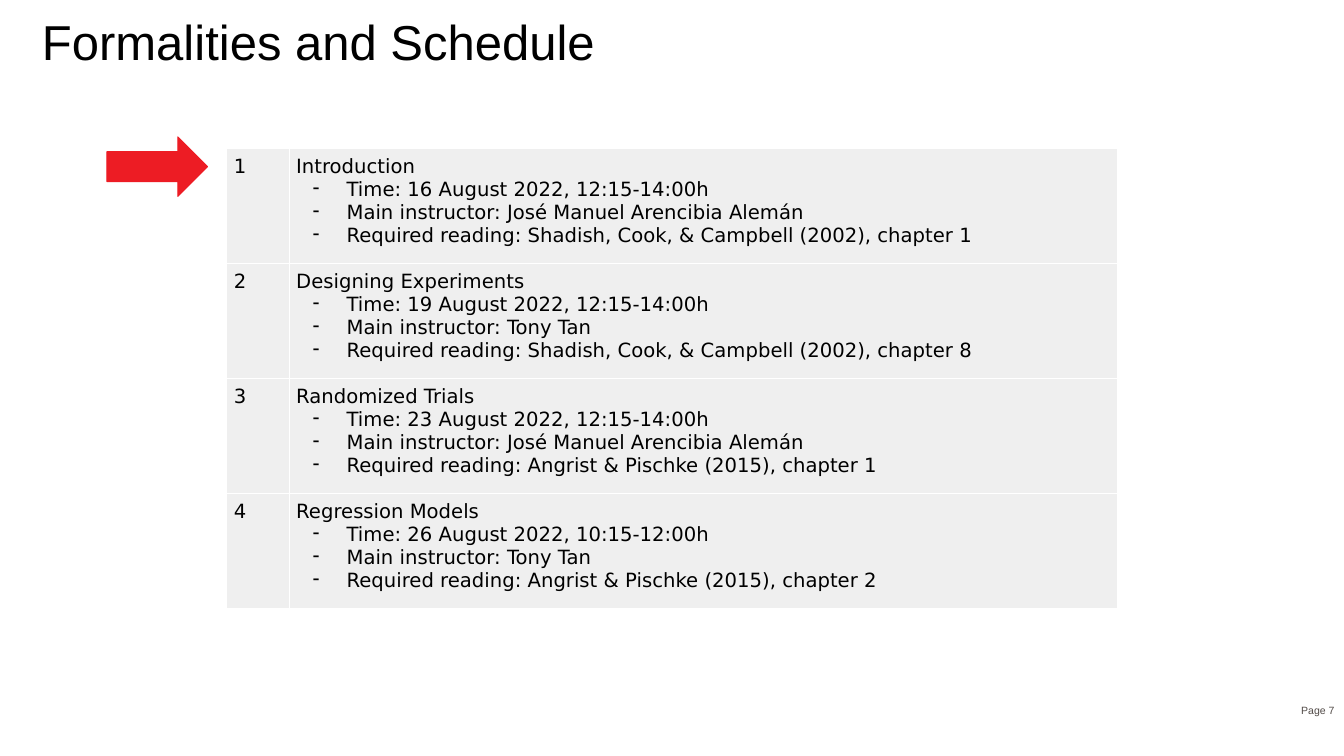
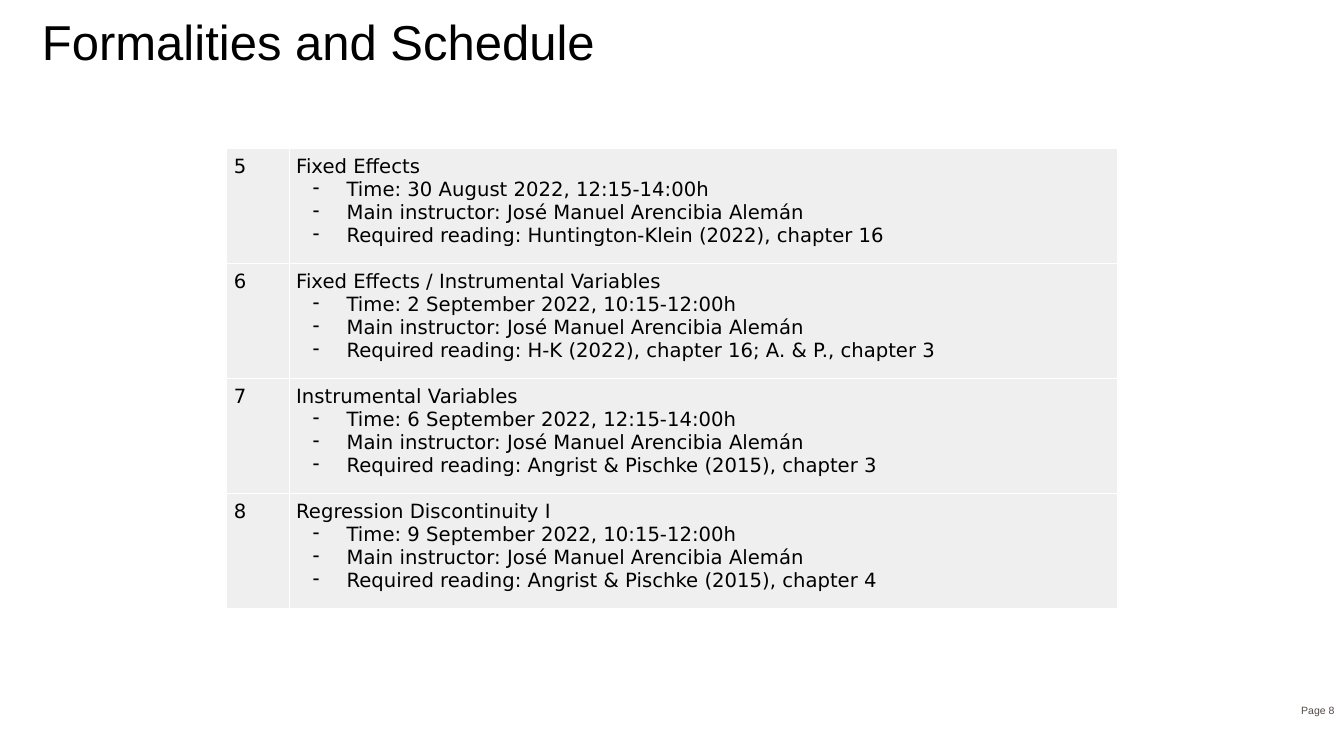
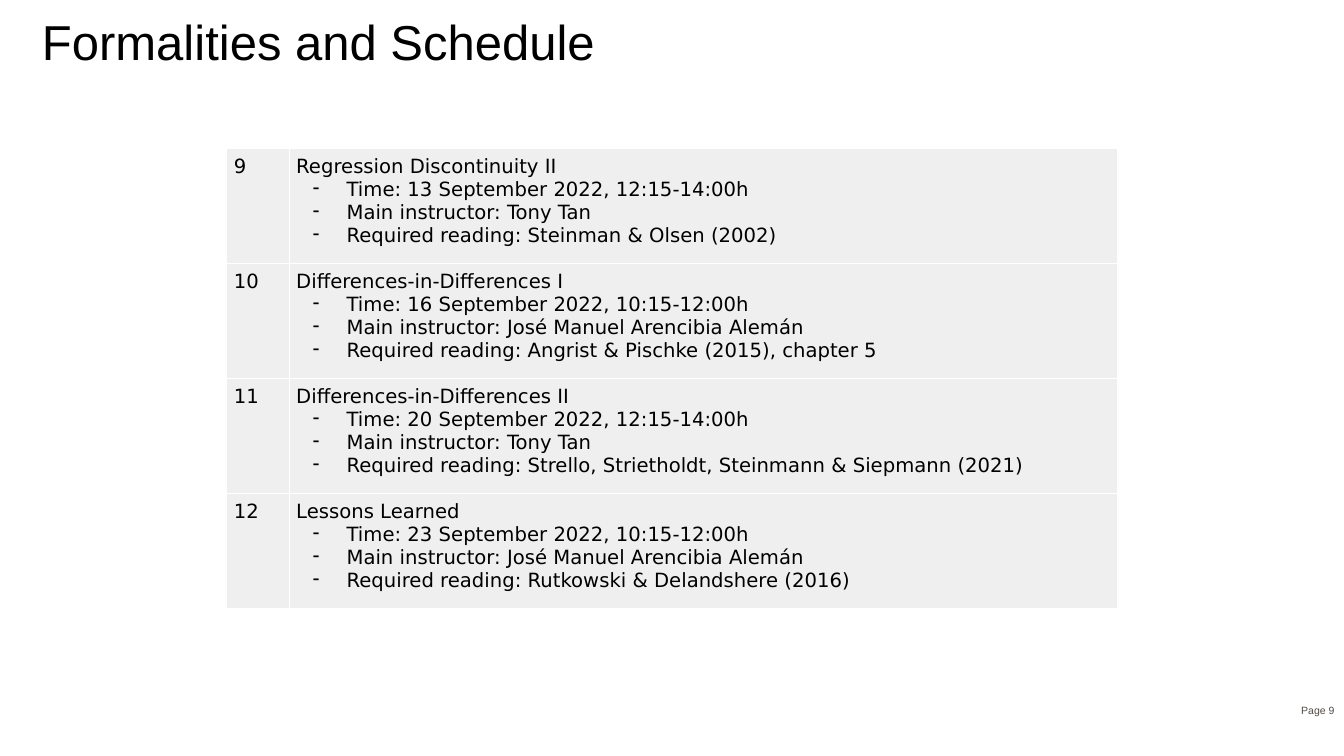
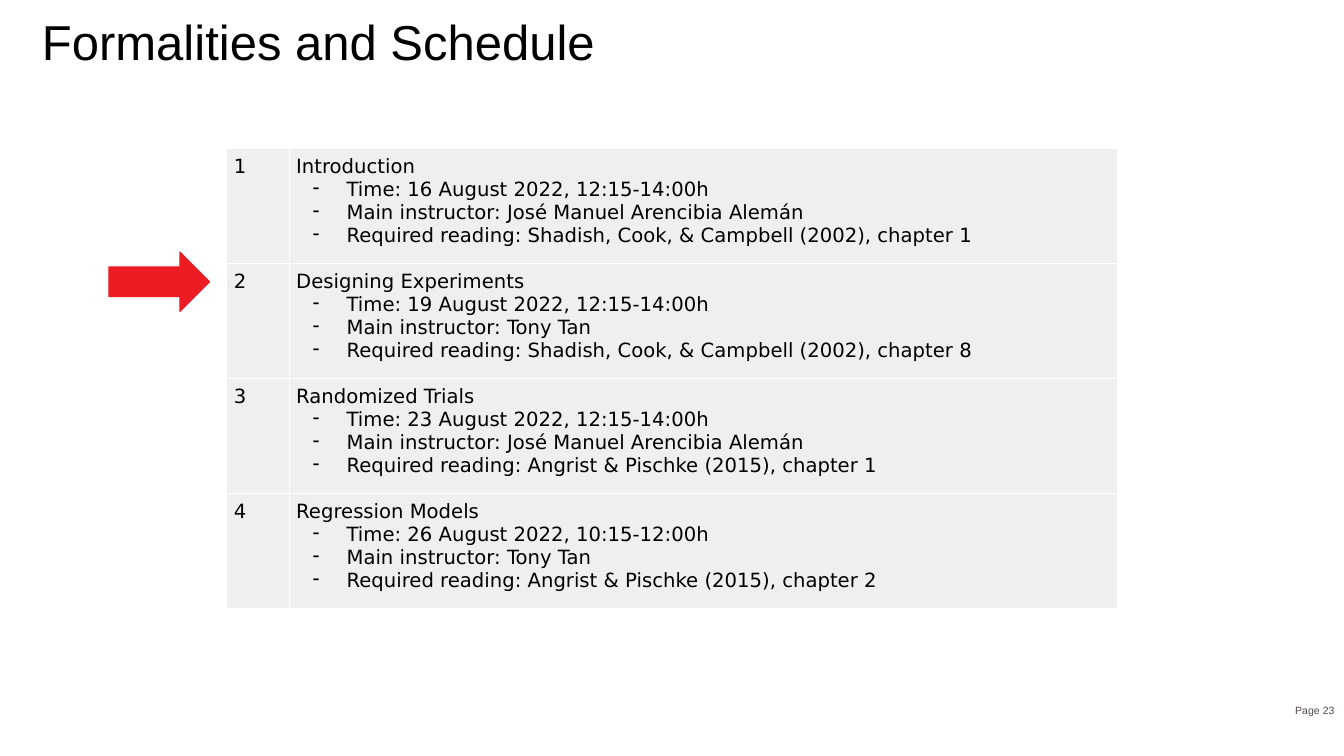
from pptx import Presentation
from pptx.dml.color import RGBColor
from pptx.enum.shapes import MSO_SHAPE
from pptx.enum.text import MSO_ANCHOR, PP_ALIGN
from pptx.oxml import parse_xml
from pptx.oxml.ns import nsdecls
from pptx.util import Pt

# Content: topic, time, instructor, reading
TITLE = "Formalities and Schedule"
JOSE = "José Manuel Arencibia Alemán"
TONY = "Tony Tan"
LABELS = ("Time", "Main instructor", "Required reading")
COURSE = [
    ("Introduction", "16 August 2022, 12:15-14:00h", JOSE,
     "Shadish, Cook, & Campbell (2002), chapter 1"),
    ("Designing Experiments", "19 August 2022, 12:15-14:00h", TONY,
     "Shadish, Cook, & Campbell (2002), chapter 8"),
    ("Randomized Trials", "23 August 2022, 12:15-14:00h", JOSE,
     "Angrist & Pischke (2015), chapter 1"),
    ("Regression Models", "26 August 2022, 10:15-12:00h", TONY,
     "Angrist & Pischke (2015), chapter 2"),
    ("Fixed Effects", "30 August 2022, 12:15-14:00h", JOSE,
     "Huntington-Klein (2022), chapter 16"),
    ("Fixed Effects / Instrumental Variables",
     "2 September 2022, 10:15-12:00h", JOSE,
     "H-K (2022), chapter 16; A. & P., chapter 3"),
    ("Instrumental Variables", "6 September 2022, 12:15-14:00h", JOSE,
     "Angrist & Pischke (2015), chapter 3"),
    ("Regression Discontinuity I", "9 September 2022, 10:15-12:00h", JOSE,
     "Angrist & Pischke (2015), chapter 4"),
    ("Regression Discontinuity II", "13 September 2022, 12:15-14:00h", TONY,
     "Steinman & Olsen (2002)"),
    ("Differences-in-Differences I", "16 September 2022, 10:15-12:00h", JOSE,
     "Angrist & Pischke (2015), chapter 5"),
    ("Differences-in-Differences II", "20 September 2022, 12:15-14:00h", TONY,
     "Strello, Strietholdt, Steinmann & Siepmann (2021)"),
    ("Lessons Learned", "23 September 2022, 10:15-12:00h", JOSE,
     "Rutkowski & Delandshere (2016)"),
]
# Page number, first session, arrow (row, left) if any
PAGES = [(7, 1, (0, 76.3)), (8, 5, None), (9, 9, None), (23, 1, (1, 77.8))]

# Shared style
BLACK, GREY, PALE, WHITE, RED = "000000", "524B48", "EFEFEF", "FFFFFF", "ED1C24"
HEAD, BODY = "Arial", "DejaVu Sans"
LEFT, TOP, COLS, ROW, COUNT = 162, 105.8, (44.6, 591.8), 82.2, 4
INSET = 5


def color(code):
    return RGBColor.from_string(code)


def style(para, face, size, code):
    para.font.name = face
    para.font.size = Pt(size)
    para.font.color.rgb = color(code)


def label(slide, box, text, face, size, code):
    frame = slide.shapes.add_textbox(*map(Pt, box)).text_frame
    frame.word_wrap = True
    para = frame.paragraphs[0]
    para.text = text
    style(para, face, size, code)
    return frame, para


def bullet(para):
    props = para._p.get_or_add_pPr()
    props.set("marL", str(Pt(36)))
    props.set("indent", str(-Pt(24)))
    props.append(parse_xml(f'<a:buChar {nsdecls("a")} char="-"/>'))


def fill(cell, lines):
    # Borders come before the fill in the cell properties
    props = cell._tc.get_or_add_tcPr()
    for side in "LRTB":
        props.append(parse_xml(
            f'<a:ln{side} {nsdecls("a")} w="{Pt(1)}"><a:solidFill>'
            f'<a:srgbClr val="{WHITE}"/></a:solidFill></a:ln{side}>'))
    cell.fill.solid()
    cell.fill.fore_color.rgb = color(PALE)
    cell.margin_left = cell.margin_right = Pt(INSET)
    cell.margin_top = cell.margin_bottom = Pt(INSET)
    frame = cell.text_frame
    for i, line in enumerate(lines):
        para = frame.add_paragraph() if i else frame.paragraphs[0]
        para.text = line
        if i:
            bullet(para)
        style(para, BODY, 14, BLACK)


def schedule(slide, first):
    table = slide.shapes.add_table(
        COUNT, len(COLS), Pt(LEFT), Pt(TOP),
        Pt(sum(COLS)), Pt(ROW * COUNT)).table
    table.first_row = table.horz_banding = False
    for col, width in zip(table.columns, COLS):
        col.width = Pt(width)
    for i in range(COUNT):
        table.rows[i].height = Pt(ROW)
        topic, *facts = COURSE[first - 1 + i]
        items = [f"{name}: {fact}" for name, fact in zip(LABELS, facts)]
        fill(table.cell(i, 0), [str(first + i)])
        fill(table.cell(i, 1), [topic, *items])


def pointer(slide, row, left):
    arrow = slide.shapes.add_shape(
        MSO_SHAPE.RIGHT_ARROW, Pt(left), Pt(TOP - 8 + row * ROW),
        Pt(72), Pt(42.5))
    arrow.shadow.inherit = False
    arrow.fill.solid()
    arrow.fill.fore_color.rgb = color(RED)
    arrow.line.color.rgb = color(RED)
    arrow.line.width = Pt(0.75)


def main():
    deck = Presentation()
    deck.slide_width, deck.slide_height = Pt(960), Pt(540)
    for page, first, mark in PAGES:
        slide = deck.slides.add_slide(deck.slide_layouts[6])
        # Title
        frame, para = label(slide, (30, 13, 900, 59), TITLE, HEAD, 35, BLACK)
        frame.margin_left = frame.margin_right = 0
        frame.margin_top = frame.margin_bottom = 0
        para.line_spacing = 0.9
        # Page number
        frame, para = label(slide, (912.9, 493.2, 47.5, 28.8),
                            f"Page {page}", HEAD, 7.5, GREY)
        frame.vertical_anchor = MSO_ANCHOR.MIDDLE
        para.alignment = PP_ALIGN.RIGHT
        # Sessions and the current one
        schedule(slide, first)
        if mark:
            pointer(slide, *mark)
    deck.save("out.pptx")


if __name__ == "__main__":
    main()
